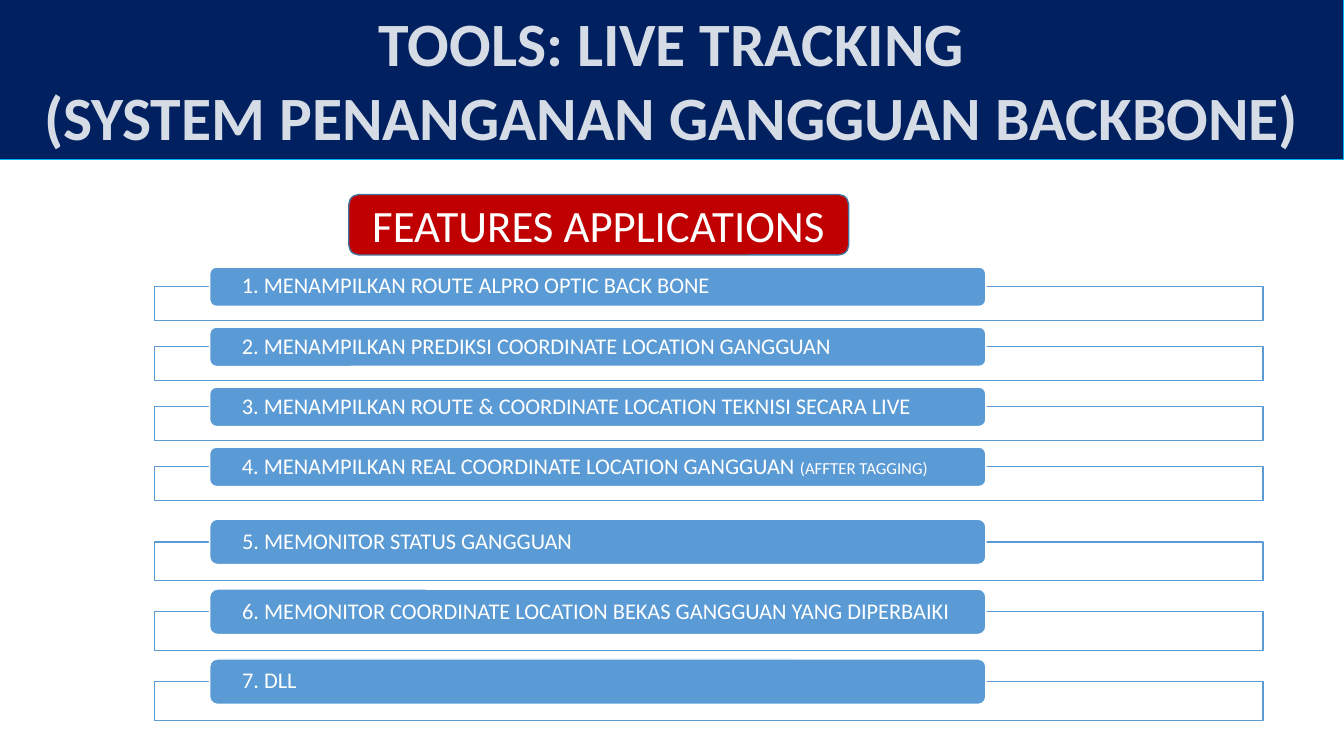
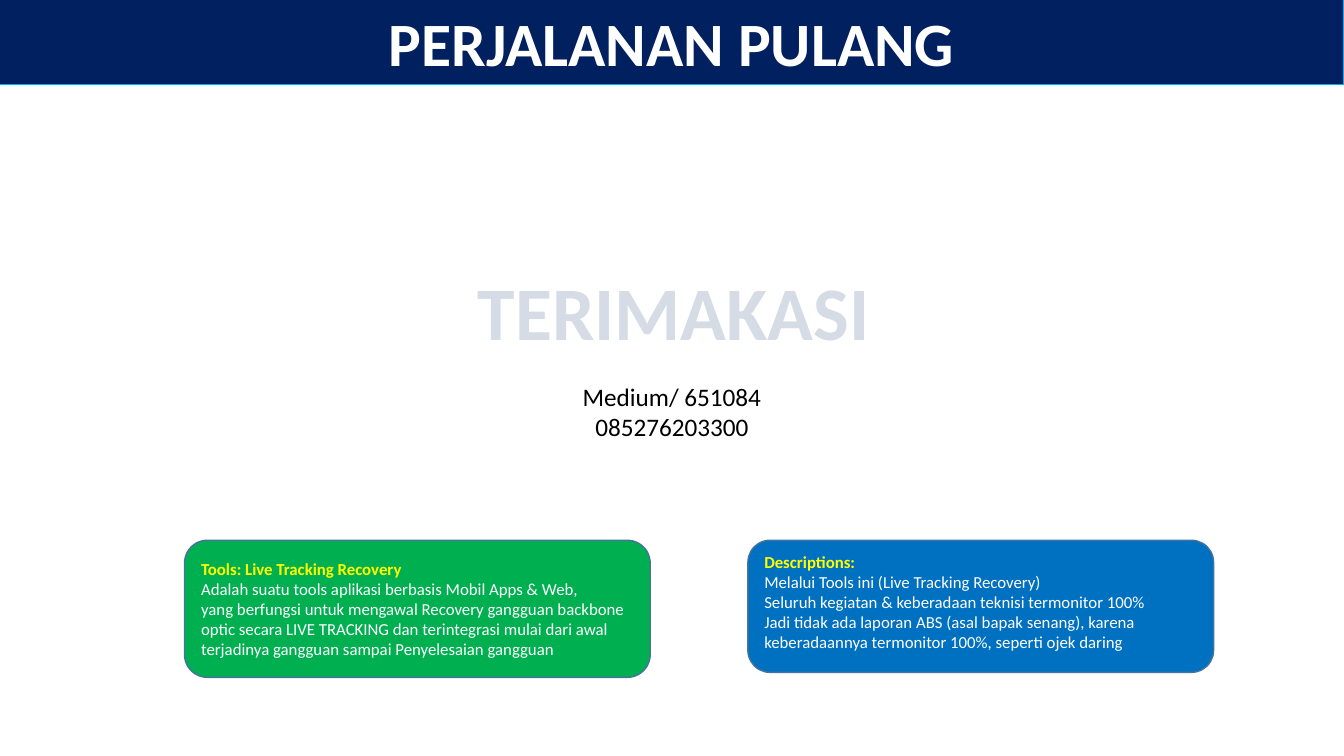
import pptx
import pptx.util
import pptx.dml.color
import pptx.enum.shapes
import pptx.enum.text

RECT = pptx.enum.shapes.MSO_SHAPE.RECTANGLE
ROUND = pptx.enum.shapes.MSO_SHAPE.ROUNDED_RECTANGLE
LEFT = pptx.enum.text.PP_ALIGN.LEFT
CENTER = pptx.enum.text.PP_ALIGN.CENTER
TOP = pptx.enum.text.MSO_ANCHOR.TOP
MIDDLE = pptx.enum.text.MSO_ANCHOR.MIDDLE

# Shared colours and text formats
NAVY, CYAN, BLUE, EDGE = "002060", "00B0F0", "5B9BD5", "43739E"
WHITE, PALE, YELLOW = "FFFFFF", "D6DCE5", "FFFF00"
TITLE = {"size": 44, "bold": True, "color": PALE}
ITEM = {"size": 16, "color": WHITE}
BODY = {"size": 12, "color": WHITE}
HEAD = {"size": 12, "color": YELLOW, "bold": True}

prs = pptx.Presentation()
prs.slide_width = pptx.util.Inches(13.33)
prs.slide_height = pptx.util.Inches(7.5)


def rgb(hex_color):
    return pptx.dml.color.RGBColor.from_string(hex_color)


def add_box(s, at, kind=None, fill=None, line=None, width=1, paras=(),
            align=LEFT, frame=None):
    """Add a shape, or a text box if kind is None; at is in percent of the slide."""
    x, y, w, h = (int(v * full / 100) for v, full in
                  zip(at, (prs.slide_width, prs.slide_height) * 2))
    if kind is None:
        sp = s.shapes.add_textbox(x, y, w, h)
    else:
        sp = s.shapes.add_shape(kind, x, y, w, h)
        sp.shadow.inherit = False
        sp.fill.solid()
        sp.fill.fore_color.rgb = rgb(fill)
        sp.line.color.rgb = rgb(line)
        sp.line.width = pptx.util.Pt(width)
    tf = sp.text_frame
    for name, value in {"word_wrap": True, **(frame or {})}.items():
        setattr(tf, name, value)
    for i, runs in enumerate(paras):
        p = tf.paragraphs[0] if i == 0 else tf.add_paragraph()
        p.alignment = align
        for text, fmt in runs:
            r = p.add_run()
            r.text = text
            r.font.name = "Calibri"
            for name, value in fmt.items():
                if name == "color":
                    r.font.color.rgb = rgb(value)
                else:
                    setattr(r.font, name, pptx.util.Pt(value) if name == "size" else value)
    return sp


# Slides with their title bands
slides = []
for height, color, lines in [
    (21.07, PALE, ["TOOLS: LIVE TRACKING", "(SYSTEM PENANGANAN GANGGUAN BACKBONE)"]),
    (11.2, WHITE, ["PERJALANAN PULANG"]),
]:
    s = prs.slides.add_slide(prs.slide_layouts[6])
    add_box(s, (0, 0, 100, height), RECT, NAVY, CYAN, 0.75,
            [[(text, {**TITLE, "color": color})] for text in lines],
            CENTER, {"vertical_anchor": TOP})
    slides.append(s)
features, closing = slides

# Feature list: each bar overlaps the top half-bar of its frame
add_box(features, (25.95, 25.73, 37.2, 8), ROUND, "C00000", EDGE,
        paras=[[("FEATURES APPLICATIONS", {"size": 32, "color": WHITE})]],
        align=CENTER, frame={"vertical_anchor": MIDDLE})
item_frame = {"vertical_anchor": MIDDLE, "margin_left": pptx.util.Inches(0.3),
              "margin_right": pptx.util.Inches(0.2), "margin_top": 0, "margin_bottom": 0}
for top, pitch, bar, items in [
    (35.33, 7.94, 5.2, [
        [("1. MENAMPILKAN ROUTE ALPRO OPTIC BACK BONE", ITEM)],
        [("2. MENAMPILKAN PREDIKSI COORDINATE LOCATION GANGGUAN", ITEM)],
        [("3. MENAMPILKAN ROUTE & COORDINATE LOCATION TEKNISI SECARA LIVE", ITEM)],
        [("4. MENAMPILKAN REAL COORDINATE LOCATION GANGGUAN ", ITEM),
         ("(AFFTER TAGGING)", BODY)],
    ]),
    (68.67, 9.25, 6, [
        [("5. MEMONITOR STATUS GANGGUAN", ITEM)],
        [("6. MEMONITOR COORDINATE LOCATION BEKAS GANGGUAN YANG DIPERBAIKI", ITEM)],
        [("7. DLL", ITEM)],
    ]),
]:
    for row, runs in enumerate(items):
        y = top + row * pitch
        add_box(features, (11.48, y + bar / 2, 82.5, bar * 0.86), RECT, WHITE, BLUE)
        sp = add_box(features, (15.6, y, 57.75, bar), ROUND, BLUE, WHITE,
                     paras=[runs], frame=item_frame)
        sp.text_frame.paragraphs[0].line_spacing = 0.9

# Explanation cards
for x, height, fill, bottom, head, lines in [
    (13.73, 18.13, "00B050", 0.05, "Tools: Live Tracking Recovery", [
        "Adalah suatu tools aplikasi berbasis Mobil Apps & Web,",
        "yang berfungsi untuk mengawal Recovery gangguan backbone optic secara "
        "LIVE TRACKING dan terintegrasi mulai dari awal terjadinya gangguan "
        "sampai Penyelesaian gangguan",
    ]),
    (55.65, 17.47, "0070C0", 0.14, "Descriptions:", [
        "Melalui Tools ini (Live Tracking Recovery)",
        "Seluruh kegiatan & keberadaan teknisi termonitor 100%",
        "Jadi tidak ada laporan ABS (asal bapak senang), karena "
        "keberadaannya termonitor 100%, seperti ojek daring",
    ]),
]:
    add_box(closing, (x, 71.47, 34.65, height), ROUND, fill, EDGE,
            paras=[[(head, HEAD)]] + [[(text, BODY)] for text in lines],
            frame={"vertical_anchor": MIDDLE, "margin_bottom": pptx.util.Inches(bottom)})

# Thanks and contact
contact = {"size": 18, "color": "000000"}
for at, paras in [
    ((34.65, 34.4, 30.98, 13.47), [[("TERIMAKASI", {**TITLE, "size": 54})]]),
    ((42.53, 49.73, 14.93, 9.47), [[("Medium/ 651084", contact)], [("085276203300", contact)]]),
]:
    add_box(closing, at, paras=paras, align=CENTER, frame={"word_wrap": False})

prs.save("out.pptx")
